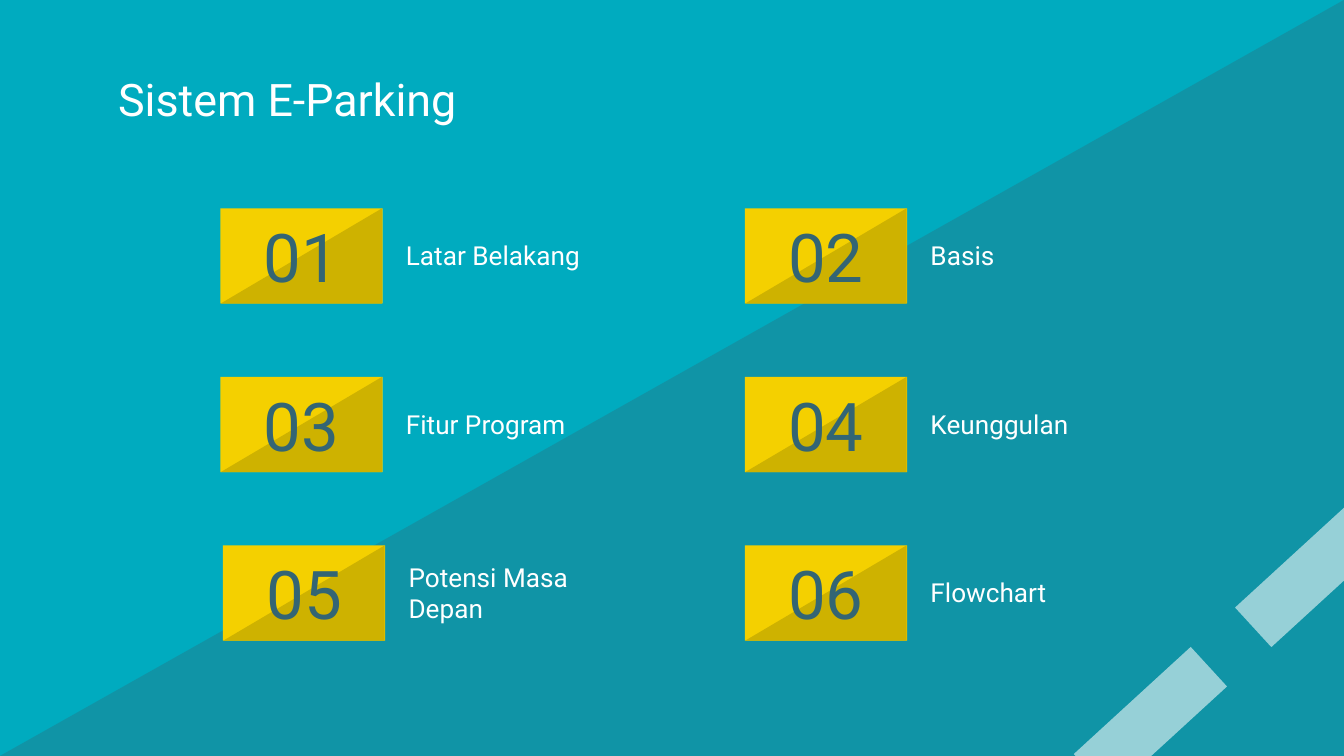
from lxml.etree import SubElement
from pptx import Presentation
from pptx.dml.color import RGBColor
from pptx.enum.shapes import MSO_SHAPE
from pptx.enum.text import MSO_ANCHOR, PP_ALIGN
from pptx.oxml.ns import qn
from pptx.util import Pt

WIDE, HIGH = 720, 405
TOPICS = ["Latar Belakang", "Basis", "Fitur Program",
          "Keunggulan", "Potensi Masa Depan", "Flowchart"]


def tint(color, value):
    color.rgb = RGBColor.from_string(value)


def add_block(slide, kind, box, fill, alpha=None, turn=0, flip=False):
    shape = slide.shapes.add_shape(kind, *map(Pt, box))
    shape.shadow.inherit = False
    shape.fill.solid()
    tint(shape.fill.fore_color, fill)
    shape.line.fill.background()
    shape.rotation = turn
    if flip:
        shape._element.spPr.xfrm.set("flipH", "1")
    if alpha is not None:
        clr = shape._element.spPr.find(".//" + qn("a:srgbClr"))
        SubElement(clr, qn("a:alpha")).set("val", str(alpha * 1000))
    return shape


def add_text(slide, box, text, size=14, color="FFFFFF", align=PP_ALIGN.LEFT):
    frame = slide.shapes.add_textbox(*map(Pt, box)).text_frame
    frame.word_wrap = True
    frame.vertical_anchor = MSO_ANCHOR.MIDDLE
    frame.margin_left = frame.margin_right = Pt(7.2)
    frame.margin_top = frame.margin_bottom = Pt(7.2)
    para = frame.paragraphs[0]
    para.alignment = align
    run = para.add_run()
    run.text = text
    run.font.name = "Roboto"
    run.font.size = Pt(size)
    tint(run.font.color, color)


def add_scene(slide, box):
    """Diagonal backdrop with road stripes in the lower right corner."""
    left, top, wide, high = box
    slide.background.fill.solid()
    tint(slide.background.fill.fore_color, "00ABBF")
    add_block(slide, MSO_SHAPE.RIGHT_TRIANGLE, box, "336574", alpha=32, flip=True)
    for right, up in [(146.2, 33.5), (59.8, 112)]:
        stripe = (left + wide - right, top + high - up, 85, 28.8)
        add_block(slide, MSO_SHAPE.RECTANGLE, stripe, "FFFFFF", alpha=56, turn=317.5)


def add_topic(slide, box, number, label):
    """Two-tone number tile with its label on the right."""
    left, top, wide, high = box
    tile = (left, top, 87, high)
    add_block(slide, MSO_SHAPE.RECTANGLE, tile, "F4D000")
    add_block(slide, MSO_SHAPE.RIGHT_TRIANGLE, (left + 0.3, top, 86.4, high),
              "CEB200", flip=True)
    add_text(slide, tile, f"{number:02d}", size=36, color="336574",
             align=PP_ALIGN.CENTER)
    add_text(slide, (left + 92.4, top, wide - 92.4, 50.4), label)


def add_grid(slide, box):
    """Topics in two columns, numbered row by row."""
    left, top, wide, high = box
    tall = 51
    step = (high - tall) / 2
    for i, label in enumerate(TOPICS):
        row, col = divmod(i, 2)
        nudge = 1.4 if i == 4 else 0
        cell = (left + col * wide / 2 + nudge, top + row * step, 228, tall)
        add_topic(slide, cell, i + 1, label)


def main():
    deck = Presentation()
    deck.slide_width, deck.slide_height = Pt(WIDE), Pt(HIGH)
    slide = deck.slides.add_slide(deck.slide_layouts[6])
    add_scene(slide, (0, 0, WIDE, HIGH))
    add_text(slide, (56.2, 30.2, 607.7, 45.4), "Sistem E-Parking", size=24)
    add_grid(slide, (118, 111.6, 562, 231.6))
    deck.save("out.pptx")


if __name__ == "__main__":
    main()
